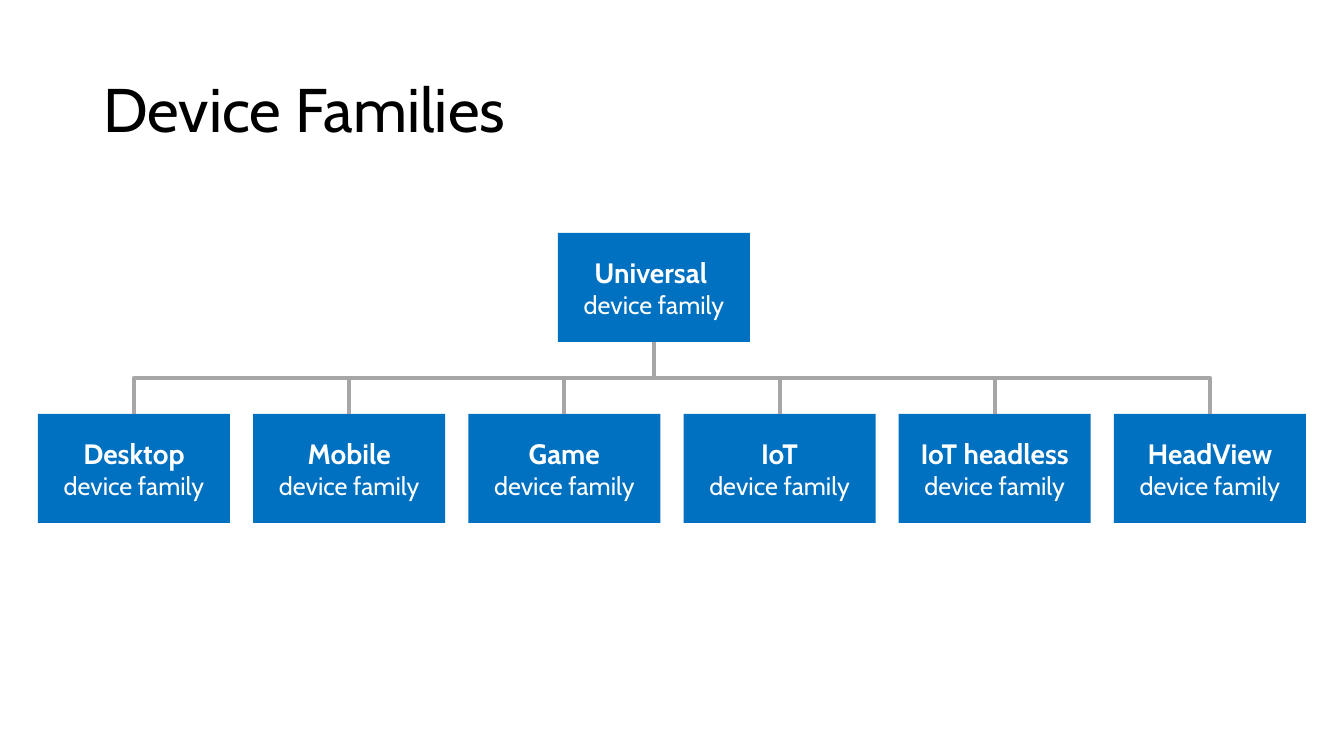
import dataclasses

import pptx
import pptx.dml.color
import pptx.enum.shapes
import pptx.enum.text
import pptx.util
import lxml.etree

TITLE = "Device Families"
ROOT_FAMILY = "Universal "
CHILD_FAMILIES = ["Desktop", "Mobile", "Game", "IoT", "IoT headless", "HeadView"]
CAPTION = "device family"

SLIDE_SIZE = (1344, 756)
TITLE_BOX = (93, 40, 1159, 146)
BOX_WIDTH, BOX_HEIGHT = 192, 109
ROOT_LEFT, ROOT_TOP = 558, 233
CHILD_TOP = 414
FIRST_LEFT, LAST_LEFT = 38, 1114


@dataclasses.dataclass(frozen=True)
class Theme:
    font: str = "Cabin"
    title_color: str = "000000"
    box_color: str = "0070C0"
    box_text: str = "FFFFFF"
    branch_color: str = "A6A6A6"
    title_size: int = 44
    name_size: int = 20
    caption_size: int = 18
    branch_width: int = 3


THEME = Theme()


def px(value):
    return round(value * 914400 / 100.8)


def color(value):
    return pptx.dml.color.RGBColor.from_string(value)


def set_font(paragraph, size, text_color, bold=False):
    paragraph.font.name = THEME.font
    paragraph.font.size = pptx.util.Pt(size)
    paragraph.font.bold = bold
    paragraph.font.color.rgb = color(text_color)


def place(shape, left, top, width, height):
    shape.left, shape.top = px(left), px(top)
    shape.width, shape.height = px(width), px(height)


def add_title(slide):
    title = slide.shapes.title
    place(title, *TITLE_BOX)
    title.text_frame.text = TITLE
    title.text_frame.vertical_anchor = pptx.enum.text.MSO_ANCHOR.MIDDLE
    heading = title.text_frame.paragraphs[0]
    heading.alignment = pptx.enum.text.PP_ALIGN.LEFT
    heading.line_spacing = 0.9
    set_font(heading, THEME.title_size, THEME.title_color)


def add_family(slide, name, left, top):
    family = slide.shapes.add_shape(
        pptx.enum.shapes.MSO_SHAPE.RECTANGLE,
        px(left), px(top), px(BOX_WIDTH), px(BOX_HEIGHT))
    family.shadow.inherit = False
    family.fill.solid()
    family.fill.fore_color.rgb = color(THEME.box_color)
    family.line.fill.background()
    frame = family.text_frame
    frame.word_wrap = True
    frame.vertical_anchor = pptx.enum.text.MSO_ANCHOR.MIDDLE
    frame.text = f"{name}\n{CAPTION}"
    name_line, caption_line = frame.paragraphs
    set_font(name_line, THEME.name_size, THEME.box_text, bold=True)
    set_font(caption_line, THEME.caption_size, THEME.box_text)
    for line in frame.paragraphs:
        line.alignment = pptx.enum.text.PP_ALIGN.CENTER
    return family


def add_branch(slide, root, child, child_left):
    branch = slide.shapes.add_connector(
        pptx.enum.shapes.MSO_CONNECTOR.ELBOW, 0, 0, 0, 0)
    branch.begin_connect(root, 2)
    branch.end_connect(child, 0)

    drop = CHILD_TOP - ROOT_TOP - BOX_HEIGHT
    span = abs(child_left - ROOT_LEFT)
    center_x = (child_left + ROOT_LEFT + BOX_WIDTH) / 2
    center_y = CHILD_TOP - drop / 2
    place(branch, center_x - drop / 2, center_y - span / 2, drop, span)
    to_right = child_left > ROOT_LEFT
    properties = branch._element.spPr
    transform = properties.get_or_add_xfrm()
    transform.flipH = to_right
    transform.flipV = False
    transform.set("rot", str((270 if to_right else 90) * 60000))

    branch.line.color.rgb = color(THEME.branch_color)
    branch.line.width = pptx.util.Pt(THEME.branch_width)
    lxml.etree.SubElement(properties, pptx.oxml.ns.qn("a:effectLst"))


def main():
    deck = pptx.Presentation()
    deck.slide_width, deck.slide_height = map(px, SLIDE_SIZE)
    slide = deck.slides.add_slide(deck.slide_layouts[5])
    add_title(slide)

    pitch = (LAST_LEFT - FIRST_LEFT) / (len(CHILD_FAMILIES) - 1)
    lefts = [FIRST_LEFT + pitch * i for i in range(len(CHILD_FAMILIES))]
    root = add_family(slide, ROOT_FAMILY, ROOT_LEFT, ROOT_TOP)
    children = [add_family(slide, name, left, CHILD_TOP)
                for name, left in zip(CHILD_FAMILIES, lefts)]
    for child, left in zip(children, lefts):
        add_branch(slide, root, child, left)
    deck.save("out.pptx")


if __name__ == "__main__":
    main()
